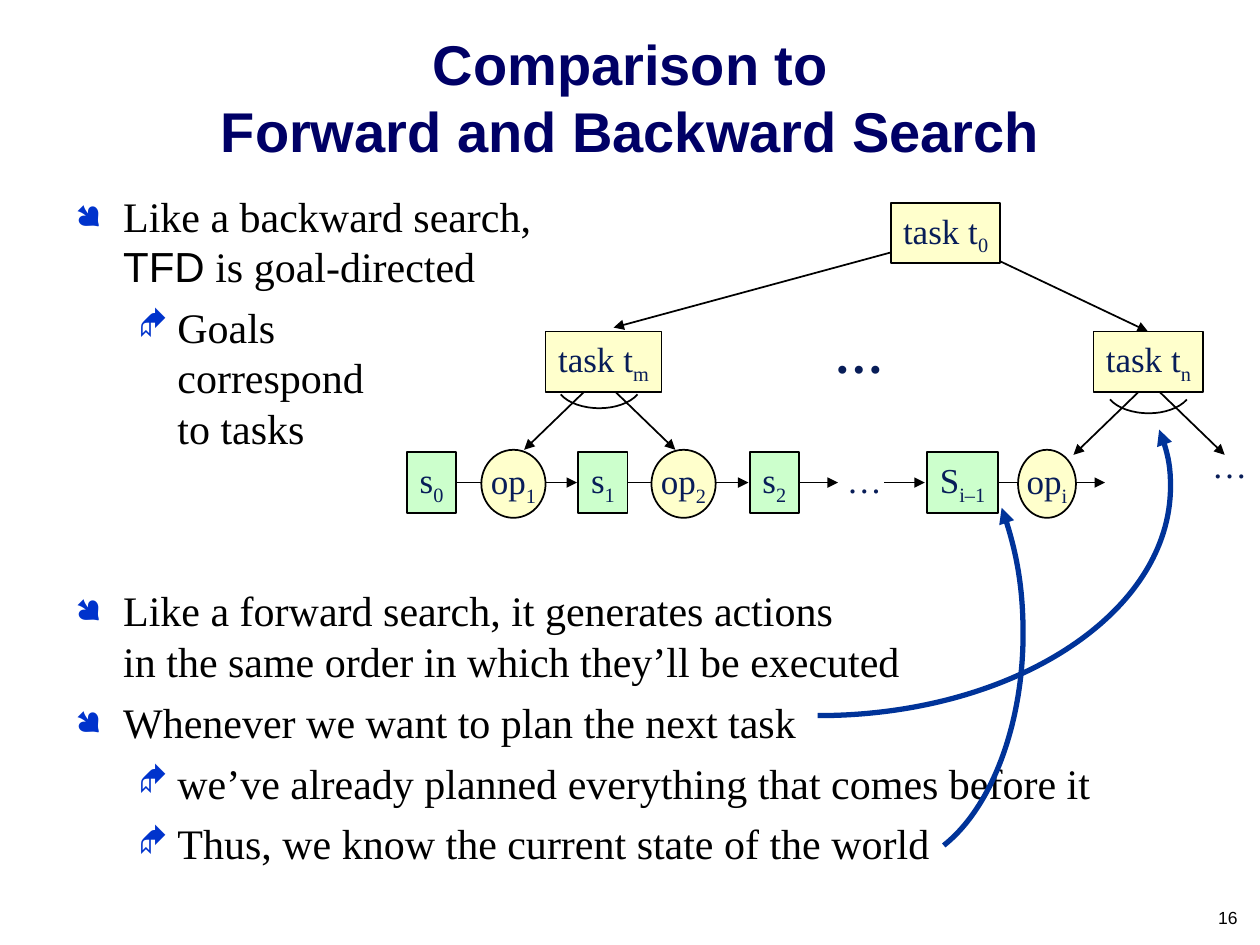
from pptx import Presentation
from pptx.dml.color import RGBColor
from pptx.enum.shapes import MSO_CONNECTOR, MSO_SHAPE
from pptx.enum.text import MSO_ANCHOR as Anchor, PP_ALIGN as Align
from pptx.oxml.ns import qn
from pptx.util import Inches, Pt
from lxml.etree import SubElement

BLACK = RGBColor(0, 0, 0)
TITLE_BLUE = RGBColor(0x00, 0x00, 0x66)
TEXT_BLUE = RGBColor(0x08, 0x1D, 0x58)
CURVE_BLUE = RGBColor(0x00, 0x33, 0x99)
BULLET_BLUE = RGBColor(0x00, 0x33, 0xCC)
STATE_GREEN = RGBColor(0xCC, 0xFF, 0xCC)
TASK_YELLOW = RGBColor(0xFF, 0xFF, 0xCC)
SERIF, SANS = "Times New Roman", "Arial"

STATE_TOP, ROW_MIDDLE, BOX_HEIGHT = 3.59, 3.83, 0.48

# Bullet level: character, left margin, hanging indent
LEVELS = [("●", 0.38, 0.38), ("◆", 0.81, 0.31)]
# Paragraph: level, space before, runs of (text, font)
BODY = [
    (0, 0, [("Like a backward search,\n", SERIF), ("TFD", SANS),
            (" is goal-directed", SERIF)]),
    (1, 6, [("Goals\ncorrespond\nto tasks", SERIF)]),
    (0, 75.5, [("Like a forward search, it generates actions\n"
                "in the same order in which they’ll be executed", SERIF)]),
    (0, 6, [("Whenever we want to plan the next task", SERIF)]),
    (1, 6, [("we’ve already planned everything that comes before it", SERIF)]),
    (1, 6, [("Thus, we know the current state of the world", SERIF)]),
]


def add_text(paragraph, text, size, color, font=SERIF, bold=False, subscript=False):
    for index, line in enumerate(text.split("\n")):
        if index:
            paragraph.add_line_break()
        if not line:
            continue
        run = paragraph.add_run()
        run.text = line
        run.font.size, run.font.name, run.font.bold = Pt(size), font, bold
        run.font.color.rgb = color
        if subscript:
            run.font._element.set("baseline", "-25000")


def add_bullet(paragraph, level):
    character, margin, hanging = LEVELS[level]
    properties = paragraph._p.get_or_add_pPr()
    properties.set("marL", str(Inches(margin)))
    properties.set("indent", str(-Inches(hanging)))
    if level:
        properties.set("lvl", str(level))
    color = SubElement(properties, qn("a:buClr"))
    SubElement(color, qn("a:srgbClr"), val=str(BULLET_BLUE))
    SubElement(properties, qn("a:buSzPct"), val="80000")
    SubElement(properties, qn("a:buFont"), typeface="Wingdings", charset="2")
    SubElement(properties, qn("a:buChar"), char=character)


def add_label(slide, left, top, width, height, text, size, color,
              font=SERIF, bold=False, align=Align.CENTER):
    box = slide.shapes.add_textbox(Inches(left), Inches(top), Inches(width), Inches(height))
    box.text_frame.word_wrap = False
    paragraph = box.text_frame.paragraphs[0]
    paragraph.alignment = align
    add_text(paragraph, text, size, color, font, bold)


def add_node(slide, kind, left, top, width, height, fill, name, index):
    shape = slide.shapes.add_shape(kind, Inches(left), Inches(top), Inches(width), Inches(height))
    shape.shadow.inherit = False
    shape.fill.solid()
    shape.fill.fore_color.rgb = fill
    shape.line.color.rgb = BLACK
    shape.line.width = Pt(1)
    frame = shape.text_frame
    frame.word_wrap = False
    frame.vertical_anchor = Anchor.MIDDLE
    frame.margin_left = frame.margin_right = frame.margin_top = frame.margin_bottom = 0
    paragraph = frame.paragraphs[0]
    paragraph.alignment = Align.CENTER
    add_text(paragraph, name, 20, TEXT_BLUE)
    add_text(paragraph, index, 20, TEXT_BLUE, subscript=True)


def add_arrowhead(shape):
    SubElement(shape.line._get_or_add_ln(), qn("a:tailEnd"), type="triangle")


def add_arrow(slide, x1, y1, x2, y2):
    line = slide.shapes.add_connector(
        MSO_CONNECTOR.STRAIGHT, Inches(x1), Inches(y1), Inches(x2), Inches(y2))
    line.line.color.rgb = BLACK
    line.line.width = Pt(1)
    add_arrowhead(line)
    SubElement(line._element.spPr, qn("a:effectLst"))


def add_curve(slide, points, color, width, arrow=False):
    """Draw joined cubic curves: a start point, then three points per piece."""
    scaled = [(Inches(x), Inches(y)) for x, y in points]
    builder = slide.shapes.build_freeform(*scaled[0])
    builder.add_line_segments(scaled[1:], close=False)
    shape = builder.convert_to_shape()
    # Turn each three straight segments into one cubic curve
    outline = next(shape._element.iter(qn("a:path")))
    segments = outline.findall(qn("a:lnTo"))
    for first in range(0, len(segments), 3):
        cubic = SubElement(outline, qn("a:cubicBezTo"))
        for segment in segments[first:first + 3]:
            cubic.append(segment[0])
            outline.remove(segment)
    shape.shadow.inherit = False
    shape.fill.background()
    shape.line.color.rgb = color
    shape.line.width = Pt(width)
    if arrow:
        add_arrowhead(shape)


def add_fork(slide, x, y):
    """Two arrows down from a task, tied by an ordering arc."""
    for side in (-0.6, 0.6):
        add_arrow(slide, x, y, x + side, y + 0.58)
    offsets = [(-0.31, 0.14), (-0.25, 0.21), (-0.13, 0.25), (0, 0.25),
               (0.12, 0.25), (0.24, 0.21), (0.3, 0.14)]
    add_curve(slide, [(x + dx, y + dy) for dx, dy in offsets], BLACK, 1)


def add_title(slide):
    title = slide.shapes.title
    title.left, title.top = Inches(0.17), Inches(0.24)
    title.width, title.height = Inches(9.67), Inches(1.11)
    title.text_frame.vertical_anchor = Anchor.BOTTOM
    paragraph = title.text_frame.paragraphs[0]
    paragraph.alignment = Align.CENTER
    add_text(paragraph, "Comparison to\nForward and Backward Search", 32, TITLE_BLUE, SANS, True)


def add_body(slide):
    box = slide.shapes.add_textbox(Inches(0.5), Inches(1.46), Inches(9), Inches(5.85))
    frame = box.text_frame
    frame.word_wrap = True
    for number, (level, space, runs) in enumerate(BODY):
        paragraph = frame.add_paragraph() if number else frame.paragraphs[0]
        add_bullet(paragraph, level)
        if space:
            paragraph.space_before = Pt(space)
        for text, font in runs:
            add_text(paragraph, text, 24, BLACK, font)


def add_diagram(slide):
    # Arrows along the state row
    for start, end in [(3.61, 4.58), (4.97, 5.94), (6.33, 6.65), (7.02, 7.34), (7.8, 8.77)]:
        add_arrow(slide, start, ROW_MIDDLE, end, ROW_MIDDLE)
    # Task decomposition
    add_arrow(slide, 7.49, 1.89, 4.87, 2.6)
    add_arrow(slide, 7.55, 1.89, 9.11, 2.63)
    add_fork(slide, 4.76, 2.99)
    add_fork(slide, 9.12, 3.03)
    # Curves from the text to the current state and the next task
    add_curve(slide, [(7.49, 6.71), (7.87, 6.41), (8.12, 5.75), (8.12, 5.03),
                      (8.12, 4.68), (8.06, 4.33), (7.95, 4.03)], CURVE_BLUE, 3, True)
    add_curve(slide, [(6.49, 5.68), (8.04, 5.68), (9.29, 4.87), (9.29, 3.86),
                      (9.29, 3.71), (9.26, 3.55), (9.2, 3.41)], CURVE_BLUE, 3, True)
    # States, operators and tasks
    for left, width, name, index in [(3.23, 0.39, "s", "0"), (4.59, 0.39, "s", "1"),
                                     (5.95, 0.39, "s", "2"), (7.36, 0.56, "S", "i–1")]:
        add_node(slide, MSO_SHAPE.RECTANGLE, left, STATE_TOP, width, BOX_HEIGHT,
                 STATE_GREEN, name, index)
    for left, width, index in [(3.82, 0.51, "1"), (5.17, 0.51, "2"), (8.08, 0.46, "i")]:
        add_node(slide, MSO_SHAPE.OVAL, left, 3.57, width, 0.54, TASK_YELLOW, "op", index)
    for left, top, width, index in [(7.07, 1.61, 0.87, "0"), (4.33, 2.63, 0.92, "m"),
                                    (8.68, 2.63, 0.87, "n")]:
        add_node(slide, MSO_SHAPE.RECTANGLE, left, top, width, BOX_HEIGHT,
                 TASK_YELLOW, "task t", index)
    # Ellipses for the omitted parts
    add_label(slide, 6.62, 3.59, 0.48, 0.44, "…", 20, TEXT_BLUE)
    add_label(slide, 9.52, 3.47, 0.48, 0.44, "…", 20, TEXT_BLUE)
    add_label(slide, 6.52, 2.53, 0.59, 0.57, "…", 28, TEXT_BLUE, bold=True)


def main():
    presentation = Presentation()
    presentation.slide_width, presentation.slide_height = Inches(10), Inches(7.5)
    slide = presentation.slides.add_slide(presentation.slide_layouts[5])
    add_title(slide)
    add_body(slide)
    add_diagram(slide)
    add_label(slide, 9.4, 7.15, 0.52, 0.26, "16", 10, BLACK, SANS, align=Align.RIGHT)
    presentation.save("out.pptx")


if __name__ == "__main__":
    main()
